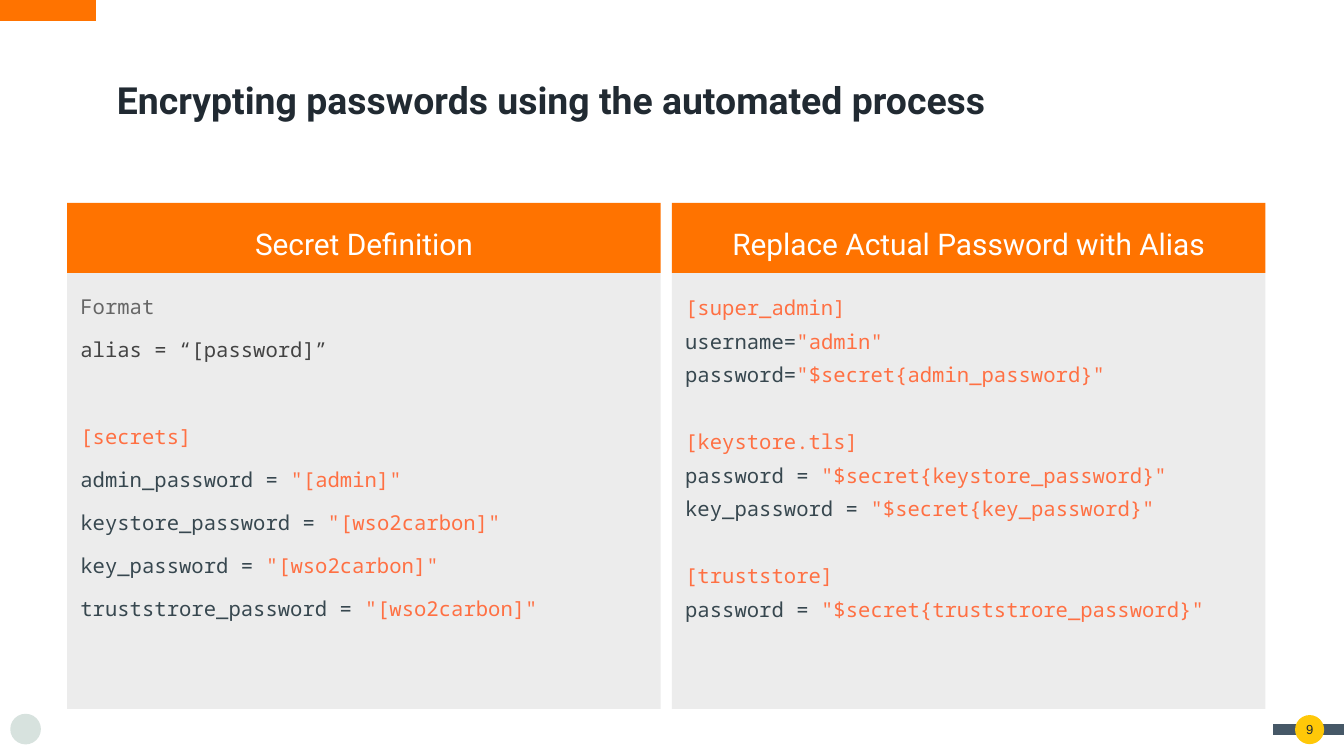
import pptx
import pptx.util
import pptx.dml.color
import pptx.enum.shapes
import pptx.enum.text
import pptx.oxml.ns
from lxml import etree

Pt = pptx.util.Pt
SHAPE = pptx.enum.shapes.MSO_SHAPE
ALIGN = pptx.enum.text.PP_ALIGN
ANCHOR = pptx.enum.text.MSO_ANCHOR

# Content: each panel has sections, each section has lines of (text, colour) runs
TITLE = "Encrypting passwords using the automated process"
PAGE = "9"
PANELS = [
    {
        "heading": "Secret Definition",
        "sections": [
            [[("Format", "grey")], [("alias = “[password]”", "dark_grey")]],
            [
                [("[secrets]", "value")],
                [("admin_password = ", "key"), ('"[admin]"', "value")],
                [("keystore_password = ", "key"), ('"[wso2carbon]"', "value")],
                [("key_password = ", "key"), ('"[wso2carbon]"', "value")],
                [("truststrore_password = ", "key"), ('"[wso2carbon]"', "value")],
            ],
        ],
        "line_spacing": 1.3, "gap": 6, "section_gap": 29.2,
    },
    {
        "heading": "Replace Actual Password with Alias",
        "sections": [
            [
                [("[super_admin]", "value")],
                [("username=", "key"), ('"admin"', "value")],
                [("password=", "key"), ('"$secret{admin_password}"', "value")],
            ],
            [
                [("[keystore.tls]", "value")],
                [("password = ", "key"), ('"$secret{keystore_password}"', "value")],
                [("key_password = ", "key"), ('"$secret{key_password}"', "value")],
            ],
            [
                [("[truststore]", "value")],
                [("password = ", "key"), ('"$secret{truststrore_password}"', "value")],
            ],
        ],
        "line_spacing": 1.36, "gap": 0, "section_gap": 17.9,
    },
]

COLORS = {
    "orange": "FF7300", "slate": "465867", "yellow": "FFC808", "mint": "D7E2DE",
    "panel": "ECECEC", "white": "FFFFFF", "ink": "212A32", "grey": "666666",
    "dark_grey": "434343", "key": "37474F", "value": "FF7043",
}
FONTS = {
    "title": {"name": "Roboto", "size": Pt(20), "bold": True},
    "heading": {"name": "Roboto", "size": Pt(16)},
    "code": {"name": "Noto Sans Mono", "size": Pt(11)},
    "page": {"name": "Arial", "size": Pt(7)},
}

# Layout in points
PANEL_LEFT, PANEL_STEP, PANEL_W = 36, 324, 318
HEAD_TOP, HEAD_H, BODY_H = 108.75, 37.5, 233.5
INSET = 7.2

prs = pptx.Presentation()
prs.slide_width, prs.slide_height = Pt(720), Pt(405)
slide = prs.slides.add_slide(prs.slide_layouts[6])


def rgb(color):
    return pptx.dml.color.RGBColor.from_string(COLORS[color])


def add_shape(kind, box, color):
    s = slide.shapes.add_shape(kind, *map(Pt, box))
    s.shadow.inherit = False
    s.fill.solid()
    s.fill.fore_color.rgb = rgb(color)
    s.line.fill.background()
    return s


def add_bar(x1, x2, y, width, color):
    s = slide.shapes.add_connector(
        pptx.enum.shapes.MSO_CONNECTOR.STRAIGHT, Pt(x1), Pt(y), Pt(x2), Pt(y))
    s.line.width = Pt(width)
    s.line.color.rgb = rgb(color)
    etree.SubElement(s._element.spPr, pptx.oxml.ns.qn("a:effectLst"))


def set_frame(s, anchor):
    tf = s.text_frame
    frame = {"word_wrap": True, "vertical_anchor": anchor}
    for side in ("left", "right", "top", "bottom"):
        frame["margin_" + side] = Pt(INSET)
    for name, value in frame.items():
        setattr(tf, name, value)
    return tf


def add_runs(p, runs, font, align=ALIGN.LEFT, spacing=1.0):
    p.alignment, p.line_spacing = align, spacing
    for text, color in runs:
        r = p.add_run()
        r.text = text
        for name, value in FONTS[font].items():
            setattr(r.font, name, value)
        r.font.color.rgb = rgb(color)


def add_label(box, text, font, align):
    s = slide.shapes.add_textbox(*map(Pt, box))
    tf = set_frame(s, ANCHOR.MIDDLE)
    add_runs(tf.paragraphs[0], [(text, "ink")], font, align)


# Corner bars, page badge and a plain disc at the lower left
add_bar(0, 51.4, 5.4, 12, "orange")
add_bar(682, 720, 391, 6, "slate")
add_shape(SHAPE.OVAL, (693.8, 383.1, 15.6, 15.6), "yellow")
add_shape(SHAPE.OVAL, (5.5, 382.4, 16.4, 16.4), "mint")

# Panels: heading strip over a code body
for i, panel in enumerate(PANELS):
    left = PANEL_LEFT + i * PANEL_STEP
    body = add_shape(SHAPE.RECTANGLE, (left, HEAD_TOP + HEAD_H, PANEL_W, BODY_H), "panel")
    tf = set_frame(body, ANCHOR.TOP)
    for n, section in enumerate(panel["sections"]):
        for m, runs in enumerate(section):
            first = n == m == 0
            p = tf.paragraphs[0] if first else tf.add_paragraph()
            if not first:
                p.space_before = Pt(panel["gap"] if m else panel["section_gap"])
            add_runs(p, runs, "code", spacing=panel["line_spacing"])

    head = add_shape(SHAPE.RECTANGLE, (left, HEAD_TOP, PANEL_W, HEAD_H), "orange")
    tf = set_frame(head, ANCHOR.MIDDLE)
    add_runs(tf.paragraphs[0], [(panel["heading"], "white")], "heading", ALIGN.CENTER, 1.3)

# Page number and title
add_label((687.2, 381.2, 28.8, 19.4), PAGE, "page", ALIGN.CENTER)
add_label((55.6, 36.2, 612.7, 34.6), TITLE, "title", ALIGN.LEFT)

prs.save("out.pptx")
